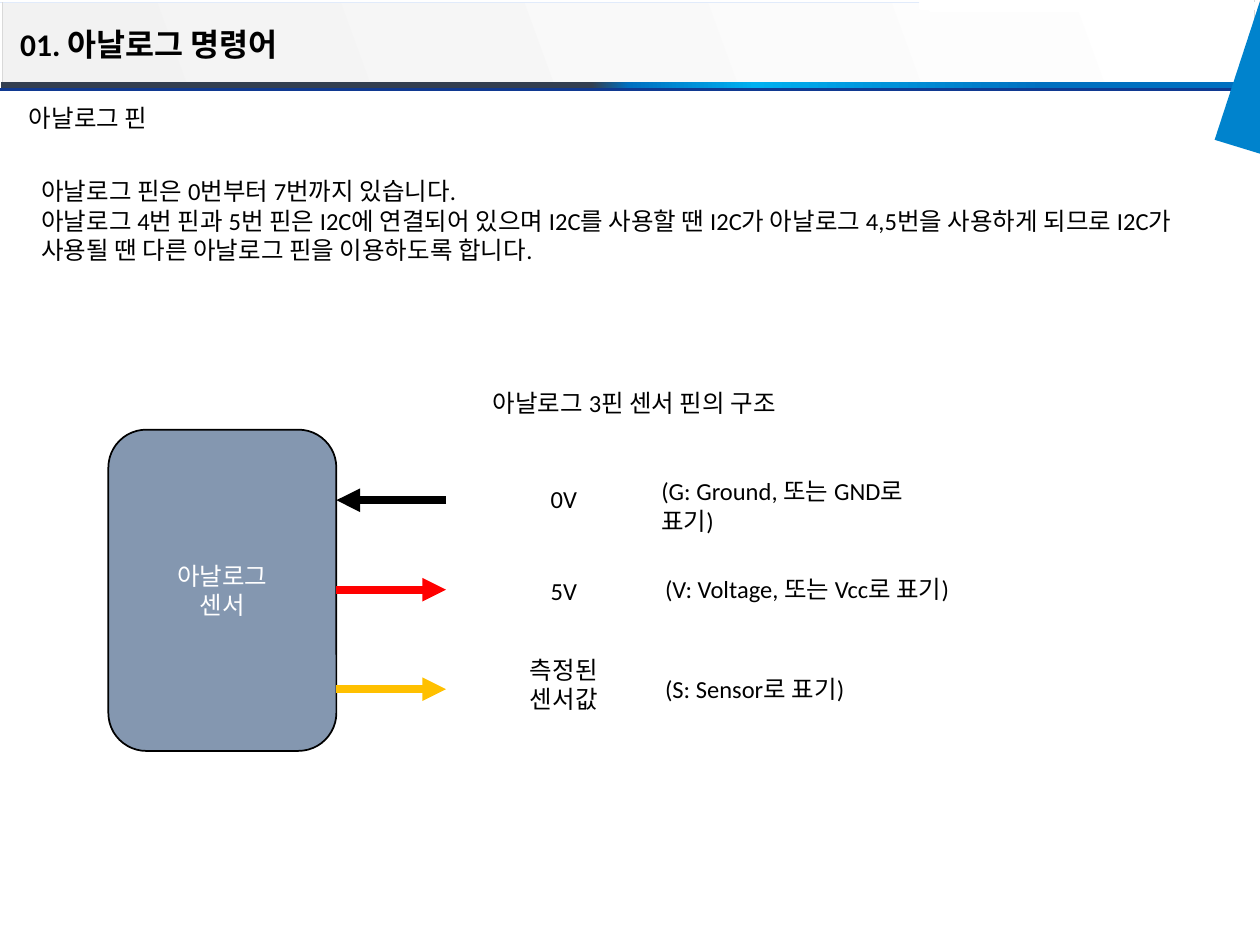
"""Build a slide on analog pins and the three-pin analog sensor."""
import pptx
import pptx.dml.color
import pptx.enum.shapes
import pptx.enum.text
import pptx.oxml
import pptx.oxml.ns
import pptx.util

Inches = pptx.util.Inches
Pt = pptx.util.Pt
Align = pptx.enum.text.PP_ALIGN
Anchor = pptx.enum.text.MSO_ANCHOR
Fit = pptx.enum.text.MSO_AUTO_SIZE
Kind = pptx.enum.shapes.MSO_SHAPE

HUES = {
    "black": "000000", "white": "FFFFFF", "pale": "F2F2F2", "ice": "E1EBFB",
    "gray": "D9D9D9", "slate": "333F50", "blue": "0070C0", "sky": "00B0F0",
    "navy": "103991", "wedge": "0083CD", "steel": "8497B0",
    "red": "FF0000", "gold": "FFC000",
}


class Deck:
    """Hold the text style and the current slide."""

    def __init__(self, font="Calibri", size=14):
        self.font, self.size = font, size
        self.show = pptx.Presentation()
        self.show.slide_width, self.show.slide_height = Inches(10), Inches(7.5)
        self.slide = self.show.slides.add_slide(self.show.slide_layouts[5])
        self.shapes = self.slide.shapes

    def hue(self, name):
        """Return a named colour."""
        return pptx.dml.color.RGBColor.from_string(HUES[name])

    def label(self, frame, lines, hue="black", align=Align.LEFT, size=None, font=None, bold=False):
        """Fill a text frame with one paragraph per line."""
        frame.text = "\n".join(lines)
        for par in frame.paragraphs:
            par.alignment = align
            par.font.name = font or self.font
            par.font.size = Pt(size or self.size)
            par.font.bold = bold
            par.font.color.rgb = self.hue(hue)

    def title(self, text, left, top, width, height):
        """Place the title in front of the header band."""
        head = self.shapes.title
        head.left, head.top = Inches(left), Inches(top)
        head.width, head.height = Inches(width), Inches(height)
        frame = head.text_frame
        self.label(frame, [text], size=18, bold=True)
        frame.word_wrap, frame.auto_size = False, Fit.SHAPE_TO_FIT_TEXT
        frame.vertical_anchor = Anchor.TOP
        head.element.getparent().append(head.element)

    def text(self, lines, left, top, width, height, wrap=True, inset=True, **style):
        """Add a text box and return its frame."""
        box = self.shapes.add_textbox(Inches(left), Inches(top), Inches(width), Inches(height))
        frame = box.text_frame
        frame.word_wrap = wrap
        if not inset:
            frame.margin_left = frame.margin_right = 0
            frame.margin_top = frame.margin_bottom = 0
        self.label(frame, lines, **style)
        return frame

    def block(self, left, top, width, height, fill=None, line=None, kind=Kind.RECTANGLE):
        """Add a preset shape."""
        shape = self.shapes.add_shape(kind, Inches(left), Inches(top), Inches(width), Inches(height))
        return self.paint(shape, fill, line)

    def paint(self, shape, fill, line):
        """Set the fill and outline of a shape."""
        shape.shadow.inherit = False
        if fill:
            shape.fill.solid()
            shape.fill.fore_color.rgb = self.hue(fill)
        if line:
            shape.line.color.rgb = self.hue(line)
            shape.line.width = Pt(1)
        else:
            shape.line.fill.background()
        return shape

    def blend(self, shape, stops, angle):
        """Fill a shape with a gradient of several stops."""
        shape.fill.gradient()
        grad = shape.element.spPr.find(pptx.oxml.ns.qn("a:gradFill"))
        marks = "".join(
            f'<a:gs pos="{pos * 1000}"><a:srgbClr val="{HUES[name]}"/></a:gs>' for pos, name in stops)
        fresh = pptx.oxml.parse_xml(
            f'<a:gradFill {pptx.oxml.ns.nsdecls("a")} rotWithShape="1"><a:gsLst>{marks}</a:gsLst>'
            f'<a:lin ang="{angle * 60000}" scaled="0"/></a:gradFill>')
        grad.getparent().replace(grad, fresh)

    def wedge(self, points, fill):
        """Add a filled polygon."""
        first, *rest = [(Inches(x), Inches(y)) for x, y in points]
        form = self.shapes.build_freeform(*first)
        form.add_line_segments(rest, close=True)
        self.paint(form.convert_to_shape(), fill, None)

    def line(self, start, end, hue, width, arrow=False):
        """Add a straight line, with an arrowhead at its end if asked."""
        link = self.shapes.add_connector(
            pptx.enum.shapes.MSO_CONNECTOR.STRAIGHT, *[Inches(v) for v in (*start, *end)])
        link.line.color.rgb = self.hue(hue)
        link.line.width = Pt(width)
        space = pptx.oxml.ns.nsdecls("a")
        props = link.element.spPr
        if arrow:
            props.find(pptx.oxml.ns.qn("a:ln")).append(
                pptx.oxml.parse_xml(f'<a:tailEnd {space} type="triangle"/>'))
        props.append(pptx.oxml.parse_xml(f"<a:effectLst {space}/>"))


def header(deck):
    """Draw the header band, its rules and the corner wedge."""
    bar = deck.block(0.01, 0.65, 9.97, 0.06)
    deck.blend(bar, [(47, "slate"), (50, "blue"), (60, "sky"), (83, "blue")], 0)
    band = deck.block(0.02, 0.02, 9.97, 0.63)
    deck.blend(band, [(0, "white"), (100, "pale")], 160)
    deck.line((0, 0.02), (9.97, 0.02), "ice", 0.25)
    for x, y in ((0.02, 0.02), (9.96, 0)):
        deck.line((x, y), (x, y + 0.63), "gray", 0.5)
    for left, top, width in ((7.38, 0.04, 2.52), (7.3, 0.02, 2.68)):
        deck.block(left, top, width, 0.05, "white", "white")
    deck.line((0, 0.71), (9.95, 0.71), "navy", 1.5)
    for left, top, low, end in ((9.64, 0.01, 1.11, 1.22), (9.67, 0.07, 1.1, 1.2)):
        deck.wedge([(10, top), (left, low), (10, end)], "wedge")
    deck.title("01. 아날로그 명령어", 0.06, 0.15, 2.41, 0.4)


def sensor(deck):
    """Draw the sensor with its three pins and their labels."""
    frame = deck.text(["아날로그 3핀 센서 핀의 구조"], 0.23, 3.06, 9.61, 4.02, align=Align.CENTER)
    frame.paragraphs[0].line_spacing = 0.9
    frame.paragraphs[0].space_before = Pt(10)
    body = deck.block(0.86, 3.41, 1.81, 2.55, "steel", "black", Kind.ROUNDED_RECTANGLE)
    body.text_frame.vertical_anchor = Anchor.MIDDLE
    deck.label(body.text_frame, ["아날로그", "센서"], hue="white", align=Align.CENTER)
    near, far = 2.67, 3.54
    pins = [
        (3.97, far, near, "black", ["0V"], 3.79, "(G: Ground, 또는 GND로 표기)", 5.15, 3.73, 2.35),
        (4.68, near, far, "red", ["5V"], 4.52, "(V: Voltage, 또는 Vcc로 표기)", 5.18, 4.51, 2.55),
        (5.47, near, far, "gold", ["측정된", "센서값"], 5.15, "(S: Sensor로 표기)", 5.18, 5.3, 1.68),
    ]
    for y, start, end, hue, value, top, note, left, high, width in pins:
        deck.line((start, y), (end, y), hue, 4.5, arrow=True)
        deck.text(value, 4.08, top, 0.79, 0.34 if len(value) == 1 else 0.57, wrap=False, align=Align.CENTER)
        deck.text([note], left, high, width, 0.34)


def main():
    """Build and save the slide."""
    deck = Deck()
    header(deck)
    deck.text(["아날로그 핀"], 0.23, 0.82, 9.28, 0.24, inset=False, font="Arial")
    deck.text([
        "아날로그 핀은 0번부터 7번까지 있습니다.",
        "아날로그 4번 핀과 5번 핀은 I2C에 연결되어 있으며 I2C를 사용할 땐 I2C가 아날로그 4,5번을 "
        "사용하게 되므로 I2C가 사용될 땐 다른 아날로그 핀을 이용하도록 합니다.",
    ], 0.23, 1.35, 9.28, 0.81)
    sensor(deck)
    deck.show.save("out.pptx")


if __name__ == "__main__":
    main()
